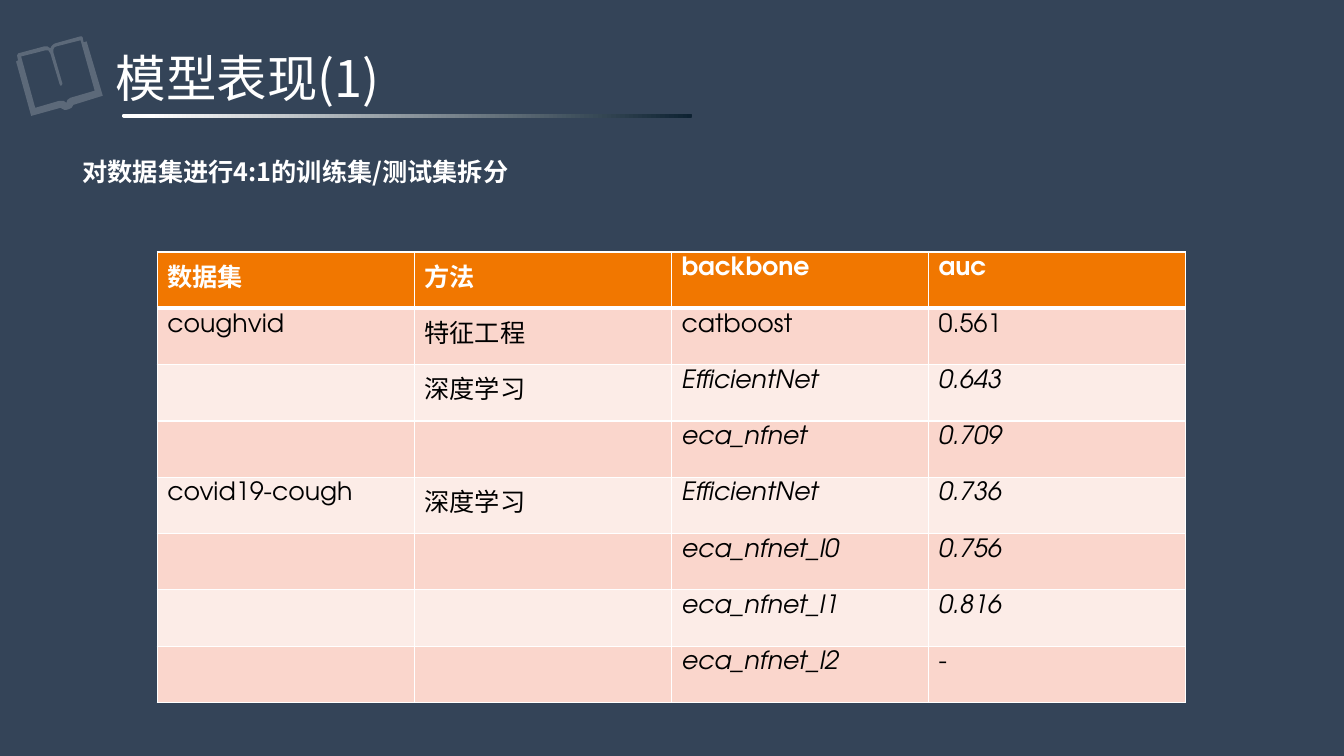
from dataclasses import dataclass

from lxml.etree import SubElement
from pptx import Presentation
from pptx.dml.color import RGBColor
from pptx.enum.shapes import MSO_SHAPE
from pptx.enum.text import MSO_ANCHOR, MSO_AUTO_SIZE, PP_ALIGN
from pptx.oxml.ns import qn
from pptx.util import Inches, Pt


@dataclass(frozen=True)
class Theme:
    background: str = "344458"
    white: str = "FFFFFF"
    black: str = "000000"
    rule_end: str = "0D2232"
    header: str = "F17700"
    bands: tuple = ("FAD6CC", "FCECE7")
    heading_font: str = "Noto Sans CJK SC"
    table_font: str = "TeX Gyre Adventor"
    title_size: int = 36
    body_size: int = 18
    border: int = 1
    header_border: int = 3


THEME = Theme()

HEADINGS = ("数据集", "方法", "backbone", "auc")
RESULTS = (
    ("coughvid", "特征工程", "catboost", "0.561"),
    ("", "深度学习", "EfficientNet", "0.643"),
    ("", "", "eca_nfnet", "0.709"),
    ("covid19-cough", "深度学习", "EfficientNet", "0.736"),
    ("", "", "eca_nfnet_l0", "0.756"),
    ("", "", "eca_nfnet_l1", "0.816"),
    ("", "", "eca_nfnet_l2", "-"),
)
UPRIGHT = ("catboost", "0.561", "-")

BOOK_COVER = (
    (0.83, 0.42), (0.82, 0.37), (0.81, 0.36), (0.8, 0.36), (0.55, 0.43),
    (0.53, 0.44), (0.51, 0.46), (0.5, 0.48), (0.47, 0.46), (0.44, 0.46),
    (0.18, 0.53), (0.17, 0.55), (0.18, 0.6), (0.16, 0.61), (0.31, 1.15),
    (0.6, 1.07), (0.62, 1.08), (0.64, 1.09), (0.66, 1.09), (0.69, 1.08),
    (0.71, 1.07), (0.73, 1.04), (1.02, 0.95), (0.86, 0.41),
)
BOOK_PAGES = (
    (0.21, 0.56), (0.45, 0.5), (0.48, 0.5), (0.5, 0.53), (0.59, 0.83),
    (0.6, 0.85), (0.61, 0.85), (0.62, 0.83), (0.53, 0.52), (0.53, 0.49),
    (0.54, 0.47), (0.56, 0.46), (0.8, 0.4), (0.94, 0.9), (0.7, 0.97),
    (0.67, 0.99), (0.66, 1.02), (0.63, 1), (0.59, 1), (0.35, 1.07),
)


def rgb(color):
    return RGBColor.from_string(color)


def apply_format(target, values):
    for name, value in values.items():
        setattr(target, name, value)


def place(shape, left, top, width, height):
    apply_format(shape, {
        "left": Inches(left), "top": Inches(top),
        "width": Inches(width), "height": Inches(height),
    })


def write_text(frame, text, font, size, color, bold=False, italic=False):
    paragraph = frame.paragraphs[0]
    target = paragraph.font
    if text:
        run = paragraph.add_run()
        run.text = text
        target = run.font
    apply_format(target, {
        "name": font, "size": Pt(size), "bold": bold, "italic": italic,
    })
    target.color.rgb = rgb(color)
    return paragraph


def write_heading(frame, text, size, anchor, bold=False):
    apply_format(frame, {
        "word_wrap": True, "auto_size": MSO_AUTO_SIZE.NONE,
        "vertical_anchor": anchor,
    })
    paragraph = write_text(frame, text, THEME.heading_font, size, THEME.white, bold)
    apply_format(paragraph, {"alignment": PP_ALIGN.LEFT, "line_spacing": 0.9})


def add_book(slide):
    builder = slide.shapes.build_freeform(
        Inches(BOOK_COVER[0][0]), Inches(BOOK_COVER[0][1]))
    for index, outline in enumerate((BOOK_COVER, BOOK_PAGES)):
        points = [(Inches(x), Inches(y)) for x, y in outline]
        if index:
            builder.move_to(*points[0])
        builder.add_line_segments(points[1:], close=True)
    book = builder.convert_to_shape()
    book.shadow.inherit = False
    book.line.fill.background()
    book.fill.solid()
    book.fill.fore_color.rgb = rgb(THEME.white)
    color = book.fill._xPr.find(qn("a:solidFill"))[0]
    SubElement(color, qn("a:alpha"), val="20000")


def add_title_rule(slide):
    rule = slide.shapes.add_shape(
        MSO_SHAPE.ROUNDED_RECTANGLE,
        Inches(1.21), Inches(1.13), Inches(5.65), Inches(0.04))
    rule.adjustments[0] = 0.5
    rule.shadow.inherit = False
    rule.line.fill.background()
    rule.fill.gradient()
    rule.fill.gradient_angle = 0
    stops = ((0.05, THEME.white), (1, THEME.rule_end))
    for stop, (position, color) in zip(rule.fill.gradient_stops, stops):
        stop.position = position
        stop.color.rgb = rgb(color)


def set_borders(cell, widths):
    properties = cell._tc.get_or_add_tcPr()
    for side, width in widths.items():
        line = SubElement(properties, qn(f"a:ln{side}"), w=str(Pt(width)))
        fill = SubElement(line, qn("a:solidFill"))
        SubElement(fill, qn("a:srgbClr"), val=THEME.white)


def add_results_table(slide):
    rows = (HEADINGS, *RESULTS)
    table = slide.shapes.add_table(
        len(rows), len(HEADINGS),
        Inches(1.56), Inches(2.5), Inches(10.2), Inches(4.47)).table
    for row_index, values in enumerate(rows):
        is_header = row_index == 0
        fill = THEME.header if is_header else THEME.bands[(row_index - 1) % 2]
        widths = dict.fromkeys("LRTB", THEME.border)
        if is_header:
            widths["B"] = THEME.header_border
        elif row_index == 1:
            widths["T"] = THEME.header_border
        for column_index, text in enumerate(values):
            cell = table.cell(row_index, column_index)
            set_borders(cell, widths)
            cell.fill.solid()
            cell.fill.fore_color.rgb = rgb(fill)
            italic = not is_header and column_index >= 2 and text not in UPRIGHT
            write_text(cell.text_frame, text, THEME.table_font, THEME.body_size,
                       THEME.white if is_header else THEME.black,
                       is_header, italic)


def main():
    deck = Presentation()
    apply_format(deck, {"slide_width": Inches(13.33), "slide_height": Inches(7.5)})
    slide = deck.slides.add_slide(deck.slide_layouts[5])
    slide.background.fill.solid()
    slide.background.fill.fore_color.rgb = rgb(THEME.background)

    add_book(slide)
    add_title_rule(slide)
    add_results_table(slide)

    title = slide.shapes.title
    place(title, 1.05, 0.45, 7.57, 0.72)
    write_heading(title.text_frame, "模型表现(1)", THEME.title_size, MSO_ANCHOR.MIDDLE)

    split_note = slide.shapes.add_textbox(
        Inches(0.72), Inches(1.54), Inches(9.74), Inches(3.5))
    write_heading(split_note.text_frame, "对数据集进行4:1的训练集/测试集拆分",
                  THEME.body_size, MSO_ANCHOR.TOP, bold=True)

    deck.save("out.pptx")


if __name__ == "__main__":
    main()
